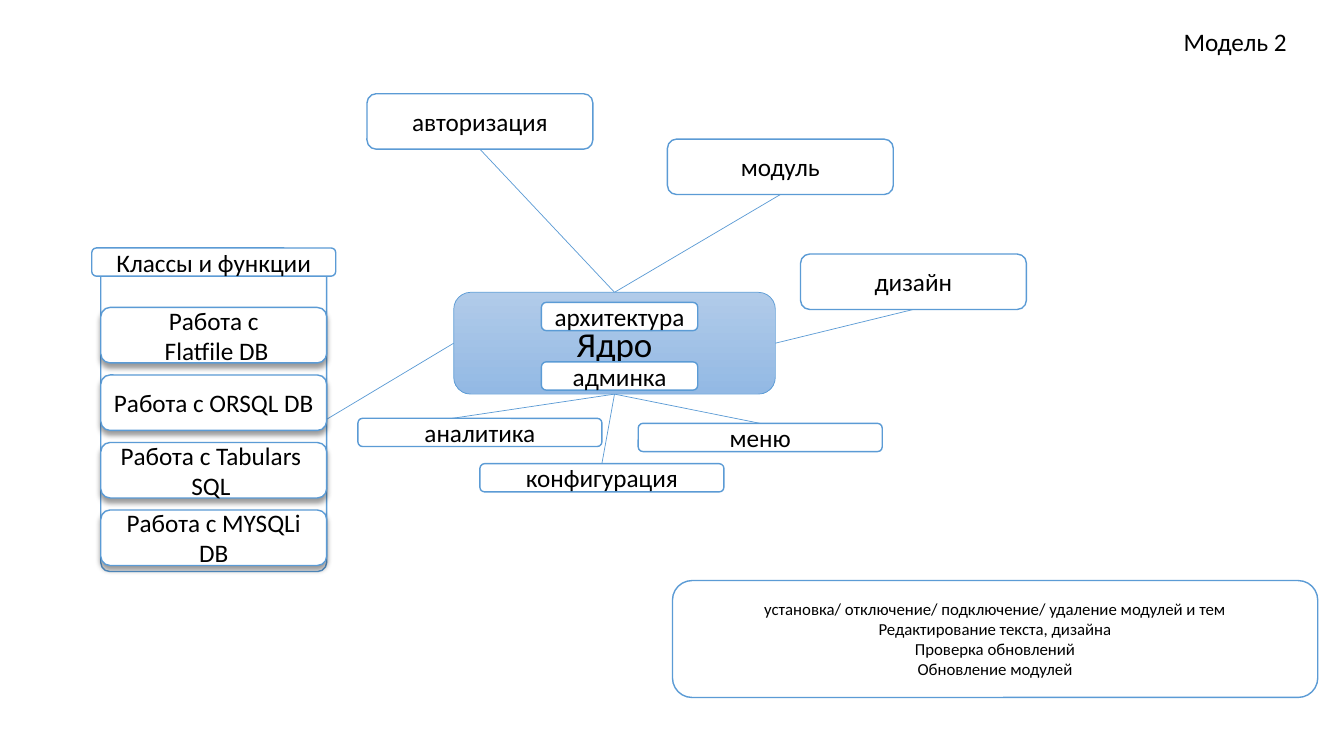
from lxml.etree import SubElement
from pptx import Presentation
from pptx.dml.color import RGBColor
from pptx.enum.shapes import MSO_CONNECTOR as CONNECTOR, MSO_SHAPE as SHAPE
from pptx.enum.text import MSO_ANCHOR as ANCHOR, MSO_AUTO_SIZE as AUTO_SIZE, PP_ALIGN as ALIGN
from pptx.oxml.ns import qn
from pptx.util import Inches, Pt

WHITE = RGBColor(0xFF, 0xFF, 0xFF)
BLACK = RGBColor(0, 0, 0)
BLUE = RGBColor(0x5B, 0x9B, 0xD5)
CORE_TOP = RGBColor(0xB1, 0xCB, 0xE9)
CORE_BOTTOM = RGBColor(0x93, 0xB9, 0xE4)
TOP, LEFT, BOTTOM, RIGHT = range(4)
LARGE = (2.24, 0.55)
WIDE = (2.42, 0.28)
SMALL = (1.55, 0.28)


class Diagram:
    """Draws styled boxes, links and labels on one slide."""

    def __init__(self, slide, font_name="Calibri", font_size=18):
        self.slide = slide
        self.font_name = font_name
        self.font_size = font_size

    def set_text(self, text_frame, text, size, align):
        text_frame.text = text
        for paragraph in text_frame.paragraphs:
            paragraph.alignment = align
            paragraph.font.name = self.font_name
            paragraph.font.size = Pt(size or self.font_size)
            paragraph.font.color.rgb = BLACK

    def box(self, left, top, width, height, text="", size=None, line_width=1):
        shape = self.slide.shapes.add_shape(
            SHAPE.ROUNDED_RECTANGLE, Inches(left), Inches(top), Inches(width), Inches(height))
        shape.shadow.inherit = False
        shape.fill.solid()
        shape.fill.fore_color.rgb = WHITE
        shape.line.color.rgb = BLUE
        shape.line.width = Pt(line_width)
        shape.text_frame.vertical_anchor = ANCHOR.MIDDLE
        self.set_text(shape.text_frame, text, size, ALIGN.CENTER)
        return shape

    def shaded_box(self, *box):
        shape = self.box(*box)
        effects = shape.element.spPr.find(qn("a:effectLst"))
        shadow = SubElement(effects, qn("a:outerShdw"), blurRad=str(Pt(4)), dist=str(Pt(3)),
                            dir="5400000", algn="t", rotWithShape="0")
        color = SubElement(shadow, qn("a:srgbClr"), val=str(BLACK))
        SubElement(color, qn("a:alpha"), val="40000")
        return shape

    def gradient_box(self, *box, colors, **style):
        shape = self.box(*box, **style)
        shape.fill.gradient()
        shape.fill.gradient_angle = 270
        for stop, color in zip(shape.fill.gradient_stops, colors):
            stop.color.rgb = color
        return shape

    def link(self, start, start_side, end, end_side):
        connector = self.slide.shapes.add_connector(CONNECTOR.STRAIGHT, 0, 0, 0, 0)
        connector.begin_connect(start, start_side)
        connector.end_connect(end, end_side)
        connector.line.color.rgb = BLUE
        connector.line.width = Pt(0.5)
        SubElement(connector.element.spPr, qn("a:effectLst"))
        self.slide.shapes.element.insert(2, connector.element)

    def label(self, left, top, width, height, text):
        text_box = self.slide.shapes.add_textbox(
            Inches(left), Inches(top), Inches(width), Inches(height))
        text_box.text_frame.word_wrap = False
        text_box.text_frame.auto_size = AUTO_SIZE.SHAPE_TO_FIT_TEXT
        self.set_text(text_box.text_frame, text, None, ALIGN.LEFT)


presentation = Presentation()
presentation.slide_width = Inches(13.33)
presentation.slide_height = Inches(7.5)
diagram = Diagram(presentation.slides.add_slide(presentation.slide_layouts[6]))

classes = diagram.box(1, 2.65, 2.24, 3.02)
classes.adjustments[0] = 0.04
databases = ["Работа с\n Flatfile DB", "Работа с ORSQL DB ",
             "Работа с Tabulars \nSQL ", "Работа с MYSQLi DB"]
for row, database in enumerate(databases):
    diagram.shaded_box(1, 3.05 + row * 0.67, *LARGE, database)
diagram.box(0.91, 2.46, *WIDE, "Классы и функции")

core = diagram.gradient_box(4.5, 2.9, 3.19, 1.01, "Ядро", colors=(CORE_TOP, CORE_BOTTOM),
                            size=25, line_width=0.5)
diagram.box(5.37, 3, *SMALL, "архитектура")
diagram.box(5.37, 3.59, *SMALL, "админка")

parts = [
    (3.64, 0.93, LARGE, "авторизация", BOTTOM, TOP),
    (6.62, 1.38, LARGE, "модуль", BOTTOM, TOP),
    (7.94, 2.52, LARGE, "дизайн", BOTTOM, RIGHT),
    (4.76, 4.6, WIDE, "конфигурация", TOP, BOTTOM),
    (6.33, 4.2, WIDE, "меню", TOP, BOTTOM),
    (3.55, 4.15, WIDE, "аналитика", LEFT, BOTTOM),
]
for left, top, size, name, side, core_side in parts:
    diagram.link(core, core_side, diagram.box(left, top, *size, name), side)
diagram.link(core, LEFT, classes, RIGHT)

tasks = ["установка/ отключение/ подключение/ удаление модулей и тем",
         "Редактирование текста, дизайна", "Проверка обновлений", "Обновление модулей"]
diagram.box(6.67, 5.76, 6.4, 1.16, "\n".join(tasks), size=12)
diagram.label(11.64, 0.21, 1.24, 0.4, "Модель 2")

presentation.save("out.pptx")
